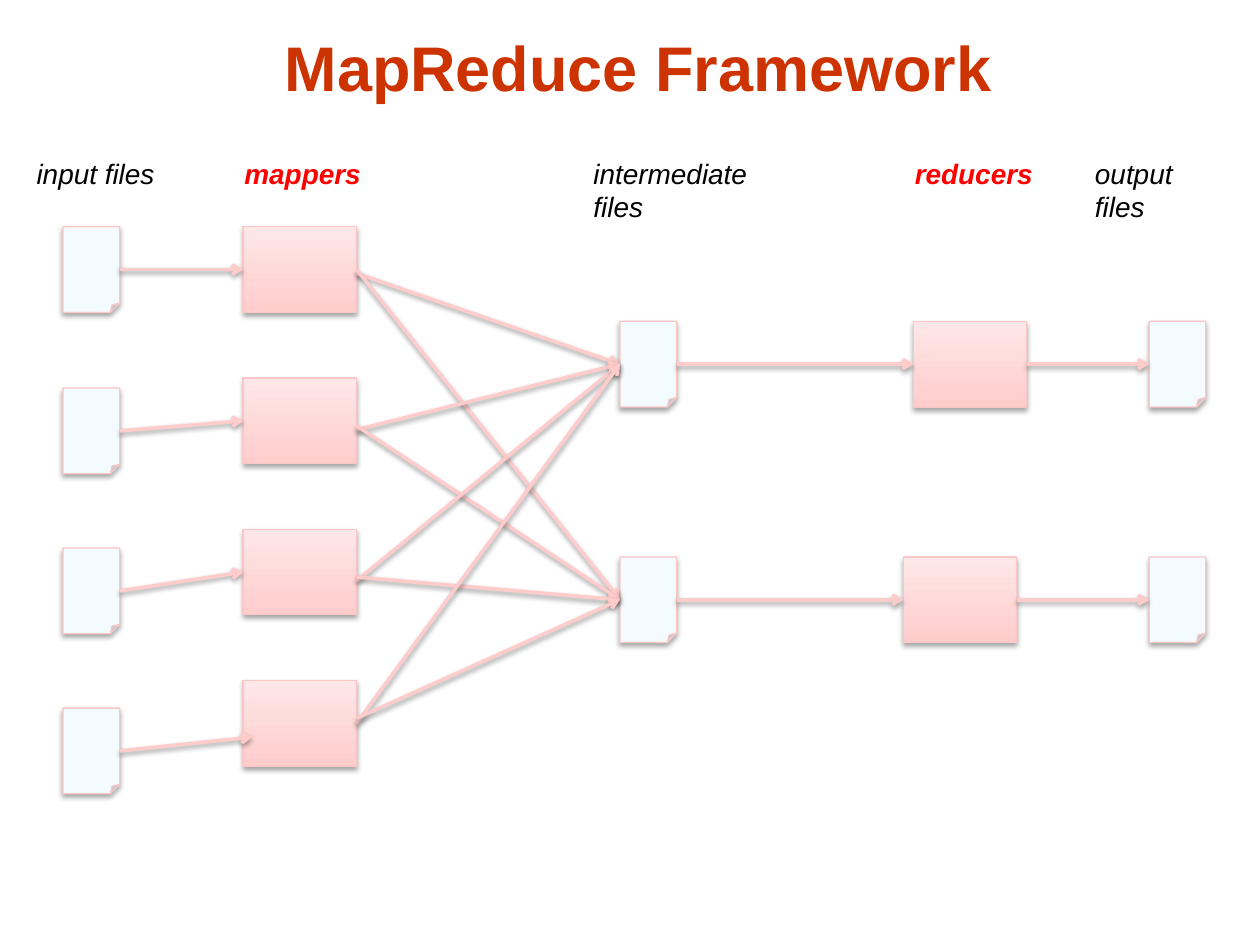
"""Build the MapReduce framework slide."""
import pptx
import pptx.util
import pptx.dml.color
import pptx.enum.shapes
import pptx.enum.text
import pptx.oxml
import pptx.oxml.ns

Inches, Pt = pptx.util.Inches, pptx.util.Pt
SHAPE = pptx.enum.shapes.MSO_SHAPE
NS = pptx.oxml.ns.nsdecls("a")

TITLE = "MapReduce Framework"
LABELS = [
    ("input files", 0.2, 1.18, "000000", False),
    ("mappers", 1.85, 1.16, "FF0000", True),
    ("intermediate\nfiles", 4.62, 1.46, "000000", False),
    ("reducers", 7.17, 1.18, "FF0000", True),
    ("output\nfiles", 8.6, 0.85, "000000", False),
]
TALL, BOX, FILE = 0.68, 0.9, 0.45
IN_X, MAP_X, MID_X, OUT_X = 0.5, 1.93, 4.92, 9.12
RED_X = [7.25, 7.17]
INPUTS = [1.8, 3.08, 4.35, 5.62]
MAPPERS = [1.8 + 1.2 * i for i in range(4)]
ROWS = [2.55, 4.42]
ENDS = [(1.93, 2.14), (1.93, 3.34), (1.93, 4.54), (2, 5.85)]
STARTS = [(2.17, 2.14), (3.41, 3.38), (4.61, 4.58), (5.74, 5.7)]


def color(code):
    return pptx.dml.color.RGBColor.from_string(code)


def shade(props, alpha, dist):
    """Put a soft downward shadow on the shape properties."""
    old = props.find(pptx.oxml.ns.qn("a:effectLst"))
    if old is not None:
        props.remove(old)
    props.append(pptx.oxml.parse_xml(
        f'<a:effectLst {NS}><a:outerShdw blurRad="{Pt(3.1)}" dist="{Pt(dist)}" '
        f'dir="5400000" rotWithShape="0"><a:srgbClr val="000000">'
        f'<a:alpha val="{alpha * 1000}"/></a:srgbClr></a:outerShdw></a:effectLst>'))


def block(kind, x, y, wide):
    """Draw one outlined block with a shadow."""
    shape = slide.shapes.add_shape(kind, Inches(x), Inches(y), Inches(wide), Inches(TALL))
    shape.line.color.rgb = color("FBC6C6")
    shape.line.width = Pt(0.75)
    shape.shadow.inherit = False
    shade(shape.element.spPr, 35, 1.8)
    return shape


def page(x, y):
    """Draw a file."""
    fill = block(SHAPE.FOLDED_CORNER, x, y, FILE).fill
    fill.solid()
    fill.fore_color.rgb = color("F3FBFF")


def worker(x, y):
    """Draw a mapper or reducer."""
    fill = block(SHAPE.RECTANGLE, x, y, BOX).fill
    fill.gradient()
    fill.gradient_angle = 90
    for stop, place, code in zip(fill.gradient_stops, (0, 1), ("FFCCCC", "FFE7E7")):
        stop.position = place
        stop.color.rgb = color(code)


def arrow(x1, y1, x2, y2):
    """Draw an arrow between two points."""
    link = slide.shapes.add_connector(
        pptx.enum.shapes.MSO_CONNECTOR.STRAIGHT, *map(Inches, (x1, y1, x2, y2)))
    link.line.color.rgb = color("FFCCCC")
    link.line.width = Pt(2)
    link.line._get_or_add_ln().append(
        pptx.oxml.parse_xml(f'<a:tailEnd {NS} type="arrow"/>'))
    shade(link._element.spPr, 38, 1.6)


def style(frame, size, code, bold, slant):
    """Format every run of a text frame."""
    for para in frame.paragraphs:
        for run in para.runs:
            font = run.font
            font.name, font.size = "Arial", Pt(size)
            font.bold, font.italic = bold, slant
            font.color.rgb = color(code)


def label(text, x, wide, code, bold):
    """Write a column heading."""
    tall = 0.63 if "\n" in text else 0.36
    frame = slide.shapes.add_textbox(
        Inches(x), Inches(1.2), Inches(wide), Inches(tall)).text_frame
    frame.text = text
    frame.word_wrap = False
    frame.auto_size = pptx.enum.text.MSO_AUTO_SIZE.SHAPE_TO_FIT_TEXT
    frame.margin_left = frame.margin_right = Inches(0.09)
    frame.margin_top = frame.margin_bottom = Inches(0.04)
    style(frame, 16, code, bold, True)


deck = pptx.Presentation()
deck.slide_width, deck.slide_height = Inches(10), Inches(7.5)
slide = deck.slides.add_slide(deck.slide_layouts[5])

title = slide.shapes.title
title.left, title.top, title.width, title.height = map(Inches, (0.65, 0.21, 8.83, 0.67))
frame = title.text_frame
frame.text = TITLE
frame.vertical_anchor = pptx.enum.text.MSO_ANCHOR.BOTTOM
frame.paragraphs[0].alignment = pptx.enum.text.PP_ALIGN.CENTER
style(frame, 36, "CC3300", True, False)

for y in MAPPERS:
    worker(MAP_X, y)
for y in INPUTS:
    page(IN_X, y)
for x, y in zip(RED_X, ROWS):
    mid = y + TALL / 2
    page(MID_X, y)
    worker(x, y)
    page(OUT_X, y)
    arrow(MID_X + FILE, mid, x, mid)
    arrow(x + BOX, mid, OUT_X, mid)
for y, end in zip(INPUTS, ENDS):
    arrow(IN_X + FILE, y + TALL / 2, *end)
for pair in STARTS:
    for start, y in zip(pair, ROWS):
        arrow(MAP_X + BOX, start, MID_X, y + TALL / 2)
for item in LABELS:
    label(*item)

deck.save("out.pptx")
